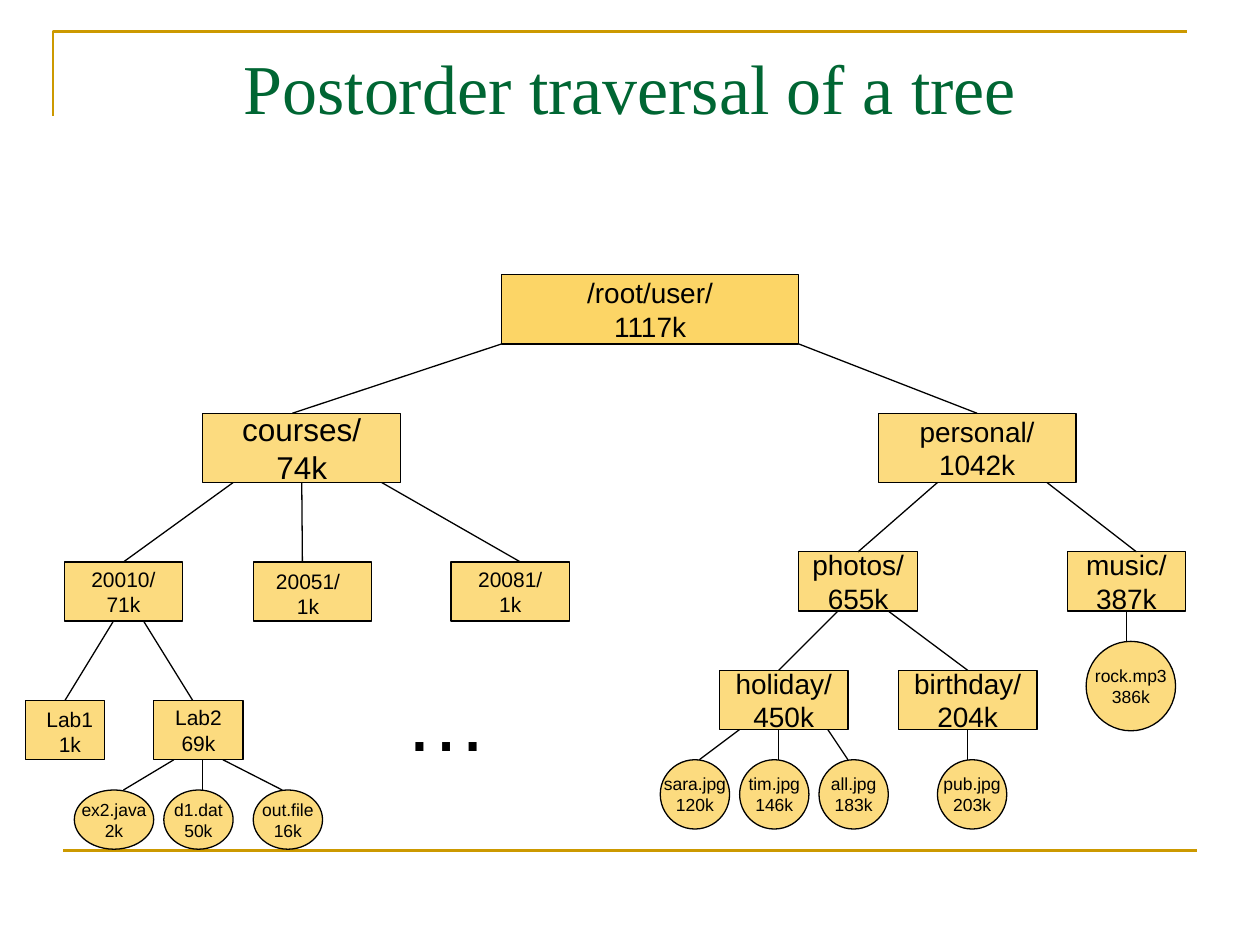
from lxml import etree
from pptx import Presentation
from pptx import util as u
from pptx.dml.color import RGBColor
from pptx.enum import shapes, text
from pptx.oxml import ns

BLACK = RGBColor(0x00, 0x00, 0x00)
AMBER = RGBColor(0xFA, 0xB9, 0x00)
GOLD = RGBColor(0xCC, 0x99, 0x00)
GREEN = RGBColor(0x00, 0x66, 0x33)

RECT = shapes.MSO_SHAPE.RECTANGLE
OVAL = shapes.MSO_SHAPE.OVAL
TOP_SITE, BOTTOM_SITE = 0, 2

# name, size label, left, top, width, height, font size
FOLDERS = [
    ("/root/user/", "1117k", 3.98, 2.18, 2.36, 0.55, 16),
    ("courses/", "74k", 1.61, 3.28, 1.57, 0.55, 18),
    ("personal/", "1042k", 6.97, 3.28, 1.57, 0.55, 16),
    ("20010/", "71k", 0.51, 4.46, 0.94, 0.47, 12),
    ("20051/", None, 2.01, 4.46, 0.94, 0.47, 12),
    ("20081/", "1k", 3.58, 4.46, 0.94, 0.47, 12),
    ("photos/", "655k", 6.34, 4.38, 0.94, 0.47, 16),
    ("music/", "387k", 8.47, 4.38, 0.94, 0.47, 16),
    ("holiday/", "450k", 5.71, 5.32, 1.02, 0.47, 16),
    ("birthday/", "204k", 7.13, 5.32, 1.1, 0.47, 16),
    ("Lab1", None, 0.2, 5.56, 0.63, 0.47, 12),
    ("Lab2", "69k", 1.22, 5.56, 0.71, 0.47, 12),
]

FILES = [
    ("ex2.java", "2k", 0.59, 6.27, 0.63, 0.47, 10),
    ("d1.dat", "50k", 1.3, 6.27, 0.55, 0.47, 10),
    ("out.file", "16k", 2.01, 6.27, 0.55, 0.47, 10),
    ("sara.jpg", "120k", 5.24, 6.03, 0.55, 0.55, 10),
    ("tim.jpg", "146k", 5.87, 6.03, 0.55, 0.55, 10),
    ("all.jpg", "183k", 6.5, 6.03, 0.55, 0.55, 10),
    ("pub.jpg", "203k", 7.44, 6.03, 0.55, 0.55, 10),
    ("rock.mp3", "386k", 8.62, 5.09, 0.71, 0.71, 10),
]

# parent, x at its bottom, child, x at its top
BRANCHES = [
    ("/root/user/", 3.98, "courses/", 2.32),
    ("/root/user/", 6.34, "personal/", 7.76),
    ("courses/", 1.85, "20010/", 0.98),
    ("courses/", 2.4, "20051/", 2.4),
    ("courses/", 3.03, "20081/", 4.13),
    ("20010/", 0.9, "Lab1", 0.51),
    ("20010/", 1.14, "Lab2", 1.53),
    ("personal/", 7.44, "photos/", 6.81),
    ("personal/", 8.31, "music/", 9.02),
    ("photos/", 6.65, "holiday/", 6.18),
    ("photos/", 7.05, "birthday/", 7.68),
    ("Lab2", 1.38, "ex2.java", 0.98),
    ("Lab2", 1.61, "d1.dat", 1.61),
    ("Lab2", 1.77, "out.file", 2.24),
    ("holiday/", 5.87, "sara.jpg", 5.55),
    ("holiday/", 6.18, "tim.jpg", 6.18),
    ("holiday/", 6.57, "all.jpg", 6.73),
    ("birthday/", 7.68, "pub.jpg", 7.68),
    ("music/", 8.94, "rock.mp3", 8.94),
]


def write(frame, lines, size, font="Arial", color=BLACK, aligns="c", wrap=False,
          anchor=text.MSO_ANCHOR.TOP):
    """Fill a text frame; aligns has one letter per line, the last one repeating."""
    frame.word_wrap = wrap
    frame.vertical_anchor = anchor
    for index, line in enumerate(lines):
        para = frame.add_paragraph() if index else frame.paragraphs[0]
        letter = aligns[min(index, len(aligns) - 1)]
        para.alignment = text.PP_ALIGN.CENTER if letter == "c" else text.PP_ALIGN.LEFT
        span = para.add_run()
        span.text = line
        span.font.size = u.Pt(size)
        span.font.name = font
        span.font.color.rgb = color


class TreePage:
    """Draws tree elements on one page in a shared style."""

    def __init__(self, page):
        self.page = page
        self.nodes = {}

    def outline(self, shape, color=BLACK, width=0.75):
        shape.line.color.rgb = color
        shape.line.width = u.Pt(width)

    def node(self, kind, name, label, left, top, width, height, size, opacity=50):
        box = self.page.shapes.add_shape(kind, *map(u.Inches, (left, top, width, height)))
        box.shadow.inherit = False
        box.fill.solid()
        box.fill.fore_color.rgb = AMBER
        color = box.fill._xPr.find(".//" + ns.qn("a:srgbClr"))
        etree.SubElement(color, ns.qn("a:alpha"), val=str(opacity * 1000))
        self.outline(box)
        if label:
            write(box.text_frame, [name, label], size, anchor=text.MSO_ANCHOR.MIDDLE)
        self.nodes[name] = box

    def label(self, lines, left, top, width, height, size, **style):
        box = self.page.shapes.add_textbox(*map(u.Inches, (left, top, width, height)))
        write(box.text_frame, lines, size, **style)

    def line(self, start, end, color=BLACK, width=0.75):
        connector = self.page.shapes.add_connector(
            shapes.MSO_CONNECTOR.STRAIGHT, *start, *end)
        self.outline(connector, color, width)
        properties = connector._element.find(ns.qn("p:spPr"))
        etree.SubElement(properties, ns.qn("a:effectLst"))
        return connector

    def branch(self, parent_name, start_x, child_name, end_x):
        """Link two nodes, joining the ends that fall mid-side."""
        parent, child = self.nodes[parent_name], self.nodes[child_name]
        start, end = u.Inches(start_x), u.Inches(end_x)
        connector = self.line((start, parent.top + parent.height), (end, child.top))
        if self.is_middle(parent, start):
            connector.begin_connect(parent, BOTTOM_SITE)
        if self.is_middle(child, end):
            connector.end_connect(child, TOP_SITE)

    def is_middle(self, box, x):
        return abs(box.left + box.width / 2 - x) < u.Inches(0.02)

    def corner(self, points):
        """Draw an open gold outline through the points."""
        first, *rest = [tuple(map(u.Inches, point)) for point in points]
        builder = self.page.shapes.build_freeform(*first)
        builder.add_line_segments(rest, close=False)
        frame = builder.convert_to_shape()
        frame.shadow.inherit = False
        frame.fill.background()
        self.outline(frame, GOLD, 1.5)


def main():
    deck = Presentation()
    deck.slide_width, deck.slide_height = u.Inches(10), u.Inches(7.5)
    tree = TreePage(deck.slides.add_slide(deck.slide_layouts[6]))

    tree.corner([(0.42, 0.92), (0.42, 0.25), (9.42, 0.25)])
    tree.line((u.Inches(0.5), u.Inches(6.75)), (u.Inches(9.5), u.Inches(6.75)), GOLD, 1.5)
    tree.label(["Postorder traversal of a tree"], 0.5, 0.3, 9, 0.77, 40,
               font="Times New Roman", color=GREEN, wrap=True,
               anchor=text.MSO_ANCHOR.BOTTOM)

    for folder in FOLDERS:
        tree.node(RECT, *folder, opacity=60 if folder[0] == "/root/user/" else 50)
    for file in FILES:
        tree.node(OVAL, *file)
    for branch in BRANCHES:
        tree.branch(*branch)

    tree.label(["20051/", "1k"], 2.09, 4.46, 0.71, 0.5, 12)
    tree.label(["Lab1", "1k"], 0.27, 5.56, 0.57, 0.5, 12, aligns="lc", wrap=True)
    tree.label(["…"], 3.11, 5.25, 0.89, 0.9, 48, aligns="l", wrap=True)

    deck.save("out.pptx")


if __name__ == "__main__":
    main()
